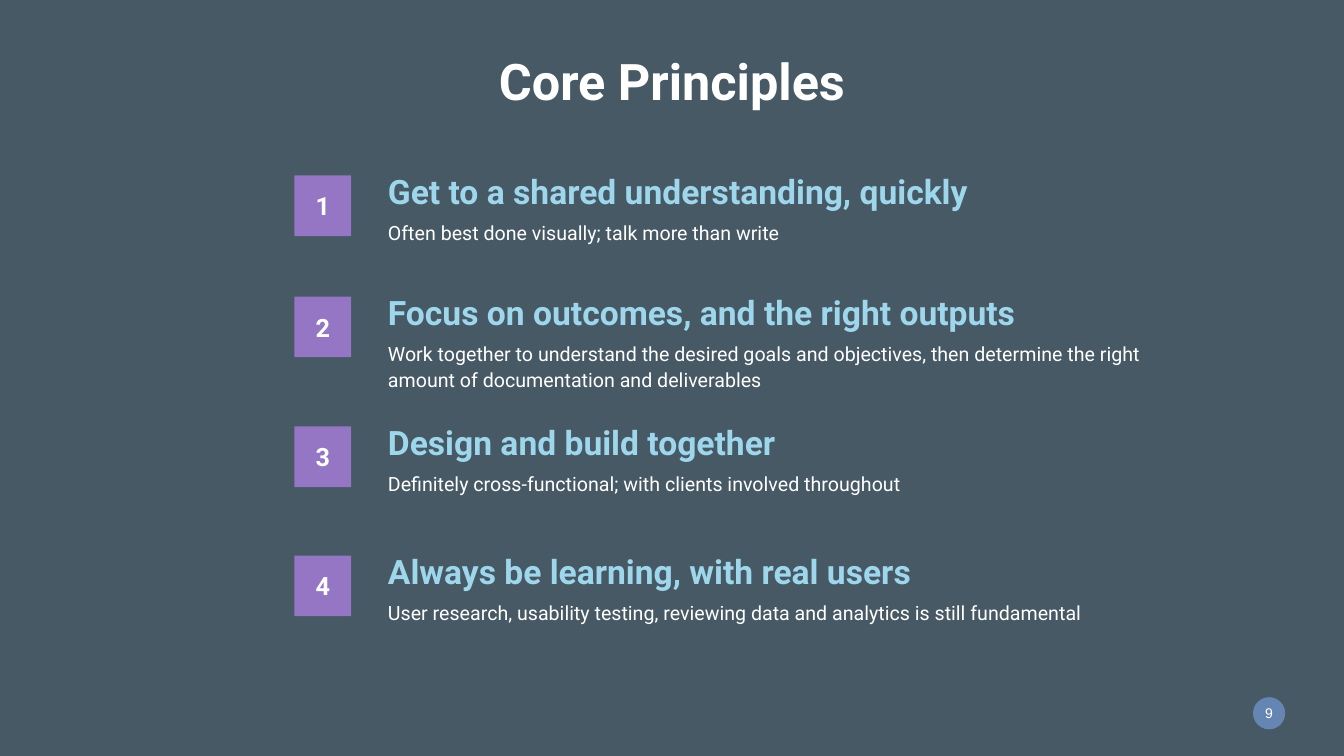
import pptx
import pptx.util
import pptx.dml.color
import pptx.enum.shapes
import pptx.enum.text

Pt = pptx.util.Pt
SHAPE = pptx.enum.shapes.MSO_SHAPE
ALIGN = pptx.enum.text.PP_ALIGN
ANCHOR = pptx.enum.text.MSO_ANCHOR

BACKGROUND = "465965"
WHITE = "FFFFFF"
SKY = "9ED6EC"
PURPLE = "9476C4"
BLUE = "6586B3"

PRINCIPLES = [
    (114.5, "Get to a shared understanding, quickly",
     "Often best done visually; talk more than write"),
    (201, "Focus on outcomes, and the right outputs",
     "Work together to understand the desired goals and objectives, "
     "then determine the right amount of documentation and deliverables"),
    (293.8, "Design and build together",
     "Definitely cross-functional; with clients involved throughout"),
    (386, "Always be learning, with real users",
     "User research, usability testing, reviewing data and analytics is still fundamental"),
]


def paint(color_fill, color):
    color_fill.solid()
    color_fill.fore_color.rgb = pptx.dml.color.RGBColor.from_string(color)


def write(box, text, size, color=WHITE, bold=False, font="Roboto",
          align=ALIGN.LEFT, anchor=ANCHOR.MIDDLE, spacing=1.0, inset=7.2):
    frame = box.text_frame
    frame.word_wrap = True
    frame.vertical_anchor = anchor
    frame.margin_left = frame.margin_right = Pt(inset)
    frame.margin_top = frame.margin_bottom = Pt(inset)
    para = frame.paragraphs[0]
    para.text = text
    para.alignment = align
    para.line_spacing = spacing
    para.font.name = font
    para.font.size = Pt(size)
    para.font.bold = bold
    paint(para.font.fill, color)


def add_text(page, left, top, width, height, text, size, **style):
    box = page.shapes.add_textbox(Pt(left), Pt(top), Pt(width), Pt(height))
    write(box, text, size, **style)


def add_badge(page, kind, left, top, width, height, color, text, size, **style):
    badge = page.shapes.add_shape(kind, Pt(left), Pt(top), Pt(width), Pt(height))
    badge.shadow.inherit = False
    paint(badge.fill, color)
    badge.line.fill.background()
    write(badge, text, size, align=ALIGN.CENTER, **style)


def add_principle(page, number, top, heading, detail):
    add_badge(page, SHAPE.RECTANGLE, 210.3, top + 10.8, 40.5, 43.4, PURPLE,
              str(number), 18, bold=True)
    add_text(page, 270, top + 34.6, 572, 48, detail, 14,
             anchor=ANCHOR.TOP, spacing=1.1)
    add_text(page, 270, top, 480, 48, heading, 24,
             color=SKY, bold=True, spacing=0.9)


def main():
    deck = pptx.Presentation()
    deck.slide_width, deck.slide_height = Pt(960), Pt(540)
    page = deck.slides.add_slide(deck.slide_layouts[6])
    paint(page.background.fill, BACKGROUND)
    add_text(page, 0, 36.7, 960, 41, "Core Principles", 36,
             bold=True, align=ALIGN.CENTER)
    for number, principle in enumerate(PRINCIPLES, start=1):
        add_principle(page, number, *principle)
    add_badge(page, SHAPE.OVAL, 895, 498, 23, 23, BLUE, "9", 10,
              font="Arial", inset=0)
    deck.save("out.pptx")


if __name__ == "__main__":
    main()
